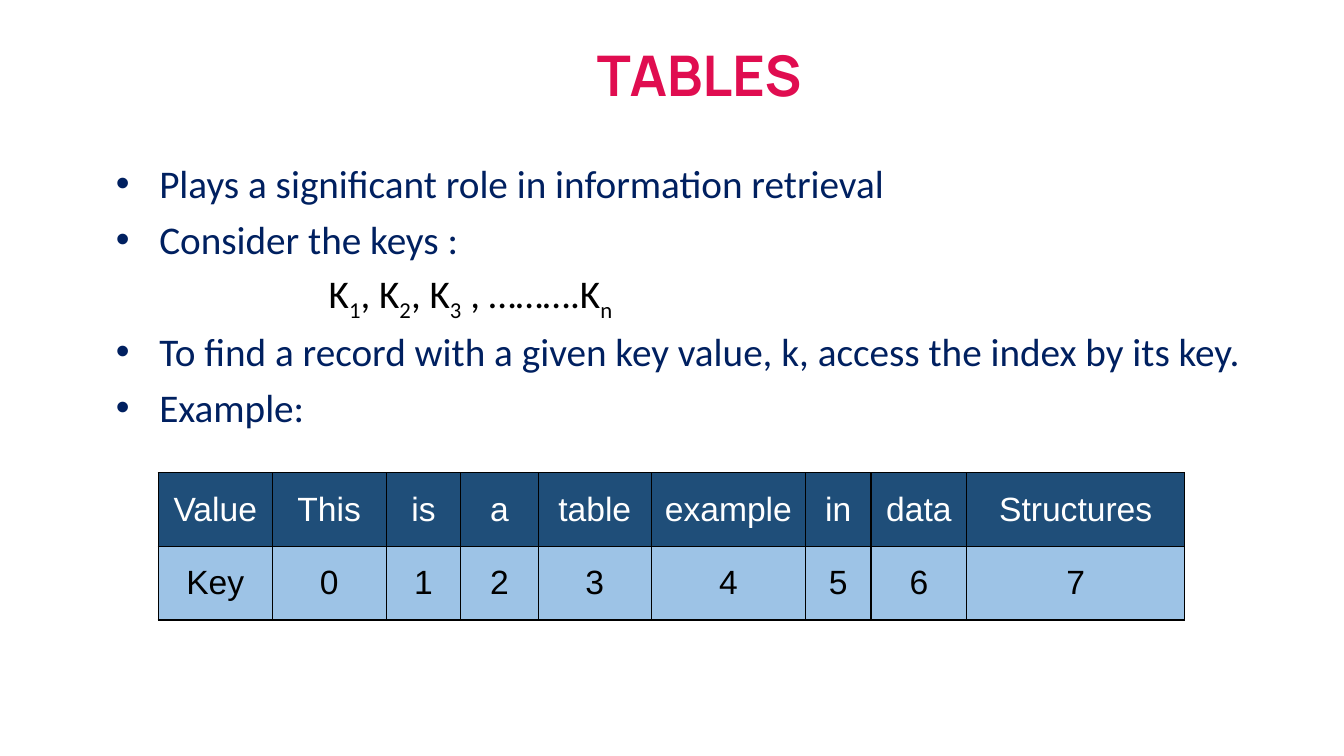
from typing import NamedTuple

from lxml.etree import SubElement
from pptx import Presentation
from pptx.dml.color import RGBColor
from pptx.enum.text import MSO_ANCHOR as Anchor
from pptx.enum.text import MSO_AUTO_SIZE as AutoSize
from pptx.enum.text import PP_ALIGN as Align
from pptx.oxml.ns import qn
from pptx.util import Inches, Pt

COLORS = {
    "title": "E00D50",
    "body": "002060",
    "black": "000000",
    "white": "FFFFFF",
    "header": "1F4E79",
    "row": "9DC3E6",
}


class Line(NamedTuple):
    texts: list[str]  # every second text is a subscript
    color: str = "body"
    bullet: bool = True


class Row(NamedTuple):
    cells: list[str]
    fill: str
    color: str


LINES = [
    Line(["Plays a significant role in information retrieval"]),
    Line(["Consider the keys :"]),
    Line(["K", "1", ", K", "2", ", K", "3", " , ……….K", "n"], "black", False),
    Line(["To find a record with a given key value, k, access the index by its key."]),
    Line(["Example:"]),
]
WORDS = ["This", "is", "a", "table", "example", "in", "data", "Structures"]
ROWS = [
    Row(["Value", *WORDS], "header", "white"),
    Row(["Key", *map(str, range(len(WORDS)))], "row", "black"),
]
COLUMN_WIDTHS = [1.13, 1.13, 0.74, 0.77, 1.12, 1.53, 0.65, 0.95, 2.16]
ROW_HEIGHT = 0.73


def rgb(name: str) -> RGBColor:
    return RGBColor.from_string(COLORS[name])


def style(r, font: str, size: float, color: str, bold: bool = False) -> None:
    r.font.name, r.font.size, r.font.bold = font, Pt(size), bold
    r.font.color.rgb = rgb(color)


def place(sp, left: float, top: float, width: float, height: float) -> None:
    sp.left, sp.top = Inches(left), Inches(top)
    sp.width, sp.height = Inches(width), Inches(height)
    sp.text_frame.word_wrap = True
    sp.text_frame.auto_size = AutoSize.NONE


def add_line(p, line: Line, first: bool) -> None:
    pPr = p._p.get_or_add_pPr()
    if line.bullet:
        pPr.set("marL", str(Inches(0.43)))
        pPr.set("indent", str(Inches(-0.43)))
        SubElement(pPr, qn("a:buFont"), typeface="Arial")
        SubElement(pPr, qn("a:buChar"), char="•")
    else:
        pPr.set("marL", str(Inches(2.11)))
        pPr.set("indent", "0")
        SubElement(pPr, qn("a:buNone"))
    p.alignment, p.line_spacing = Align.JUSTIFY, 0.9
    p.space_before = Pt(0 if first else 10 if line.bullet else 5)
    for i, text in enumerate(line.texts):
        r = p.add_run()
        r.text = text
        style(r, "Calibri", 28, line.color)
        if i % 2:
            r._r.get_or_add_rPr().set("baseline", "-25000")


def fill_cell(cell, text: str, row: Row) -> None:
    cell.text_frame.text = text
    cell.vertical_anchor = Anchor.MIDDLE
    cell.margin_left = cell.margin_right = Inches(0.13)
    cell.margin_top = cell.margin_bottom = Inches(0.07)
    p = cell.text_frame.paragraphs[0]
    p.alignment = Align.CENTER
    style(p.runs[0], "Arial", 24, row.color)
    # Borders come before the fill in the cell properties
    tcPr = cell._tc.get_or_add_tcPr()
    for side in "LRTB":
        ln = SubElement(tcPr, qn(f"a:ln{side}"), w=str(Pt(1)))
        solid = SubElement(ln, qn("a:solidFill"))
        SubElement(solid, qn("a:srgbClr"), val=COLORS["black"])
    cell.fill.solid()
    cell.fill.fore_color.rgb = rgb(row.fill)


def main() -> None:
    prs = Presentation()
    prs.slide_width, prs.slide_height = Inches(13.33), Inches(7.5)
    s = prs.slides.add_slide(prs.slide_layouts[1])

    # Title
    title = s.shapes.title
    place(title, 2.76, 0.32, 8.35, 0.84)
    tf = title.text_frame
    tf.text = "TABLES"
    tf.vertical_anchor = Anchor.MIDDLE
    tf.paragraphs[0].alignment = Align.CENTER
    style(tf.paragraphs[0].runs[0], "Manrope", 40, "title", bold=True)

    # Bullet list
    body = s.placeholders[1]
    place(body, 1.05, 1.58, 11.44, 5.73)
    tf = body.text_frame
    tf.vertical_anchor = Anchor.TOP
    for i, line in enumerate(LINES):
        add_line(tf.add_paragraph() if i else tf.paragraphs[0], line, i == 0)

    # Key table
    table = s.shapes.add_table(
        len(ROWS), len(COLUMN_WIDTHS), Inches(1.57), Inches(4.69),
        Inches(sum(COLUMN_WIDTHS)), Inches(ROW_HEIGHT * len(ROWS)),
    ).table
    for column, width in zip(table.columns, COLUMN_WIDTHS):
        column.width = Inches(width)
    for table_row, row in zip(table.rows, ROWS):
        table_row.height = Inches(ROW_HEIGHT)
        for cell, text in zip(table_row.cells, row.cells):
            fill_cell(cell, text, row)

    prs.save("out.pptx")


if __name__ == "__main__":
    main()
